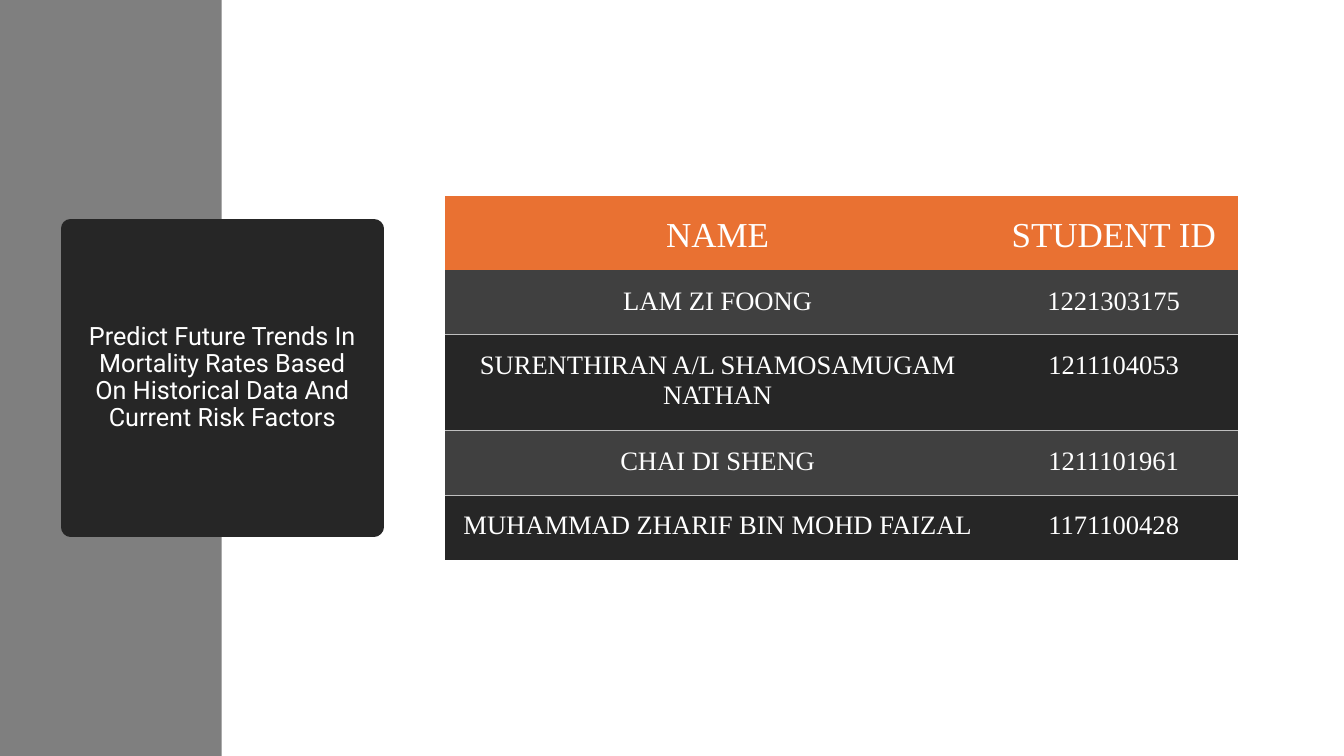
"""Build the project title slide with its table of team members."""
from lxml.etree import SubElement
from pptx import Presentation
from pptx.dml.color import RGBColor
from pptx.enum.shapes import MSO_SHAPE as Shape
from pptx.enum.text import MSO_ANCHOR as Anchor, PP_ALIGN as Align
from pptx.oxml import parse_xml
from pptx.oxml.ns import nsdecls, qn
from pptx.util import Pt

WHITE = RGBColor(0xFF, 0xFF, 0xFF)
GREY = RGBColor(0x7F, 0x7F, 0x7F)
DARK = RGBColor(0x26, 0x26, 0x26)
MEDIUM = RGBColor(0x40, 0x40, 0x40)
ORANGE = RGBColor(0xE9, 0x71, 0x32)
RULE = RGBColor(0xBF, 0xBF, 0xBF)
NO_STYLE = "{2D5ABB26-0587-4C30-8999-92F81FD0307C}"


def format_text(paragraph, font_name, size):
    paragraph.alignment = Align.CENTER
    for run in paragraph.runs:
        run.font.name = font_name
        run.font.size = Pt(size)
        run.font.color.rgb = WHITE


def add_rule(cell, side):
    cell._tc.get_or_add_tcPr().insert(0, parse_xml(
        f'<a:{side} {nsdecls("a")} w="{Pt(1)}"><a:solidFill>'
        f'<a:srgbClr val="{RULE}"/></a:solidFill></a:{side}>'))


prs = Presentation()
prs.slide_width, prs.slide_height = Pt(960), Pt(540)
slide = prs.slides.add_slide(prs.slide_layouts[6])

side_band = slide.shapes.add_shape(Shape.RECTANGLE, 0, 0, Pt(158.4), Pt(540))
side_band.shadow.inherit = False
side_band.fill.solid()
side_band.fill.fore_color.rgb = GREY
side_band.line.fill.background()

title = slide.shapes.add_shape(Shape.RECTANGLE, Pt(50.4), Pt(163.4), Pt(216.7), Pt(213.1))
title.shadow.inherit = False
title.fill.solid()
title.fill.fore_color.rgb = DARK
title.line.color.rgb = DARK
title.line.width = Pt(13.75)
SubElement(title.line._get_or_add_ln(), qn("a:round"))
title_frame = title.text_frame
title_frame.text = "Predict Future Trends In Mortality Rates Based On Historical Data And Current Risk Factors"
title_frame.word_wrap = True
title_frame.vertical_anchor = Anchor.MIDDLE
title_frame.margin_left = title_frame.margin_right = Pt(11)
title_frame.paragraphs[0].line_spacing = 0.9
format_text(title_frame.paragraphs[0], "Roboto", 18)

members = [
    ("NAME", "STUDENT ID"),
    ("LAM ZI FOONG", "1221303175"),
    ("SURENTHIRAN A/L SHAMOSAMUGAM NATHAN", "1211104053"),
    ("CHAI DI SHENG", "1211101961"),
    ("MUHAMMAD ZHARIF BIN MOHD FAIZAL", "1171100428"),
]
column_widths = [388.8, 177.1]
row_heights = [53.3, 46.1, 68.4, 46.1, 46.1]
member_frame = slide.shapes.add_table(
    len(members), 2, Pt(318.2), Pt(139.8), Pt(sum(column_widths)), Pt(sum(row_heights)))
member_table = member_frame.table
member_table._tbl.tblPr.find(qn("a:tableStyleId")).text = NO_STYLE
for column, width in zip(member_table.columns, column_widths):
    column.width = Pt(width)

for row_index, (member, height) in enumerate(zip(members, row_heights)):
    member_table.rows[row_index].height = Pt(height)
    is_header = row_index == 0
    is_odd = row_index % 2 == 1
    for column_index, value in enumerate(member):
        cell = member_table.cell(row_index, column_index)
        cell.text_frame.text = value
        cell.margin_left = cell.margin_right = cell.margin_bottom = Pt(7.9)
        cell.margin_top = Pt(11.5)
        cell.vertical_anchor = Anchor.MIDDLE if is_header else Anchor.TOP
        cell.fill.solid()
        cell.fill.fore_color.rgb = ORANGE if is_header else MEDIUM if is_odd else DARK
        format_text(cell.text_frame.paragraphs[0], "Times New Roman", 25 if is_header else 19)
        if not is_header:
            add_rule(cell, "lnB" if is_odd else "lnT")

prs.save("out.pptx")
